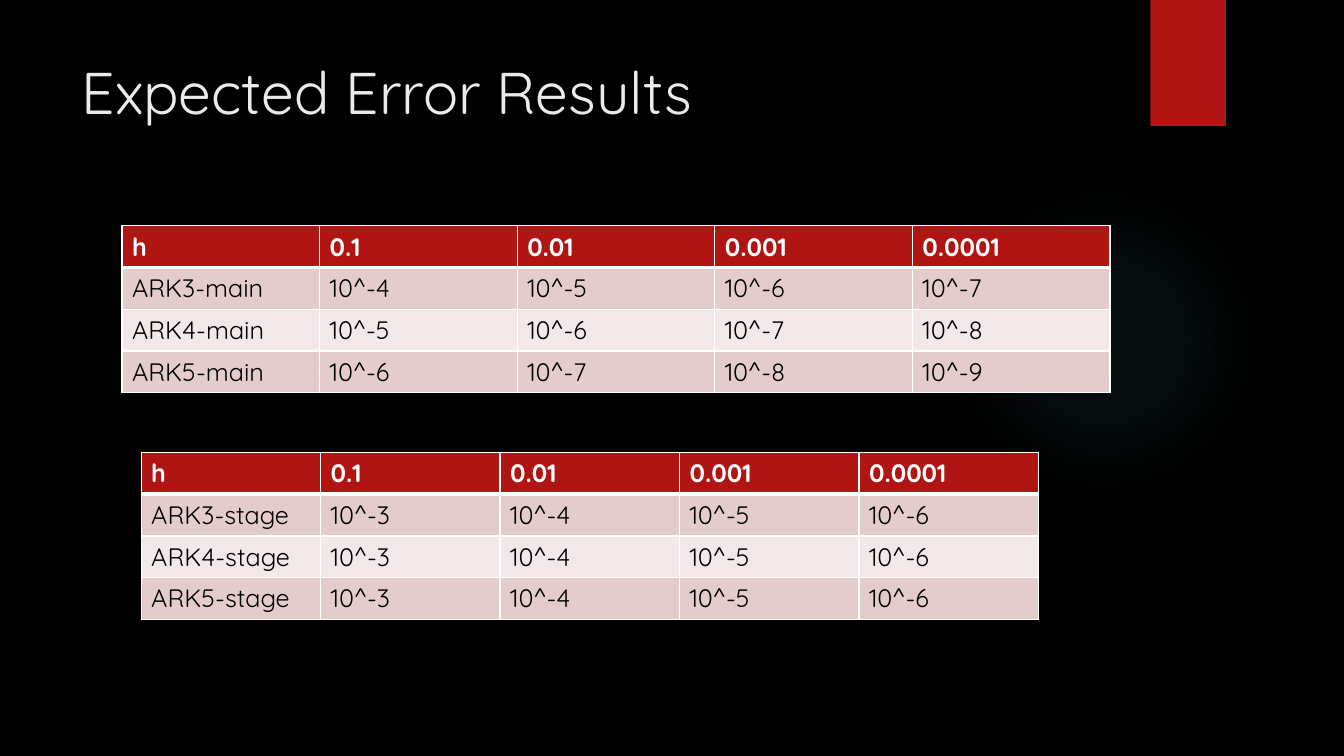
from dataclasses import dataclass

from lxml import etree
from pptx import Presentation
from pptx.dml.color import RGBColor
from pptx.enum import shapes, text
from pptx.oxml import ns
from pptx.util import Inches, Pt


@dataclass(frozen=True)
class Theme:
    font: str = "Quicksand"
    background: str = "000000"
    title: str = "EBEBEB"
    accent: str = "B01513"
    glow: str = "50B9C1"
    glow_stops: tuple = ((0, 7), (36, 6), (69, 0))
    header_text: str = "FFFFFF"
    body_text: str = "000000"
    bands: tuple = ("E4CCCC", "F2E8E7")
    border: str = "FFFFFF"
    thin: float = 1
    thick: float = 3
    title_size: float = 42
    cell_size: float = 18


THEME = Theme()
STEPS = ["0.1", "0.01", "0.001", "0.0001"]
ORDERS = [3, 4, 5]
ROW_HEIGHT = 0.414


def add_run(paragraph, wording, size, color, bold=False):
    run = paragraph.add_run()
    run.text = wording
    run.font.name = THEME.font
    run.font.size = Pt(size)
    run.font.bold = bold
    run.font.color.rgb = RGBColor.from_string(color)


def add_decoration(slide, kind, left, top, width, height):
    decoration = slide.shapes.add_shape(
        kind, Inches(left), Inches(top), Inches(width), Inches(height))
    decoration.shadow.inherit = False
    decoration.line.fill.background()
    return decoration


def add_glow(slide):
    glow = add_decoration(slide, shapes.MSO_SHAPE.OVAL, 9.41, 1.83, 3.08, 3.08)
    glow.fill.background()
    properties = glow.element.spPr
    no_fill = properties.find(ns.qn("a:noFill"))
    gradient = etree.Element(ns.qn("a:gradFill"), rotWithShape="1")
    stops = etree.SubElement(gradient, ns.qn("a:gsLst"))
    for position, opacity in THEME.glow_stops:
        stop = etree.SubElement(stops, ns.qn("a:gs"), pos=str(position * 1000))
        color = etree.SubElement(stop, ns.qn("a:srgbClr"), val=THEME.glow)
        etree.SubElement(color, ns.qn("a:alpha"), val=str(opacity * 1000))
    circle = etree.SubElement(gradient, ns.qn("a:path"), path="circle")
    etree.SubElement(circle, ns.qn("a:fillToRect"),
                     l="50000", t="50000", r="50000", b="50000")
    properties.replace(no_fill, gradient)


def add_ribbon(slide):
    ribbon = add_decoration(slide, shapes.MSO_SHAPE.RECTANGLE, 11.41, 0, 0.75, 1.25)
    ribbon.fill.solid()
    ribbon.fill.fore_color.rgb = RGBColor.from_string(THEME.accent)


def format_title(slide, wording):
    title = slide.shapes.title
    title.left, title.top = Inches(0.71), Inches(0.5)
    title.width, title.height = Inches(10.29), Inches(1.53)
    frame = title.text_frame
    frame.word_wrap = True
    frame.vertical_anchor = text.MSO_ANCHOR.TOP
    paragraph = frame.paragraphs[0]
    paragraph.alignment = text.PP_ALIGN.LEFT
    add_run(paragraph, wording, THEME.title_size, THEME.title)


def set_borders(cell, top, bottom):
    properties = cell._tc.get_or_add_tcPr()
    widths = {"lnL": THEME.thin, "lnR": THEME.thin, "lnT": top, "lnB": bottom}
    for index, (side, width) in enumerate(widths.items()):
        line = etree.Element(ns.qn(f"a:{side}"), w=str(Pt(width)))
        fill = etree.SubElement(line, ns.qn("a:solidFill"))
        etree.SubElement(fill, ns.qn("a:srgbClr"), val=THEME.border)
        properties.insert(index, line)


def format_cell(cell, wording, row):
    header = row == 0
    cell.fill.solid()
    cell.fill.fore_color.rgb = RGBColor.from_string(
        THEME.accent if header else THEME.bands[(row - 1) % 2])
    set_borders(cell, THEME.thick if row == 1 else THEME.thin,
                THEME.thick if header else THEME.thin)
    add_run(cell.text_frame.paragraphs[0], wording, THEME.cell_size,
            THEME.header_text if header else THEME.body_text, header)


def add_error_table(slide, left, top, column_width, part, first_exponents):
    rows = [["h", *STEPS]]
    for order, first in zip(ORDERS, first_exponents):
        errors = [f"10^-{first + step}" for step in range(len(STEPS))]
        rows.append([f"ARK{order}-{part}", *errors])
    columns = len(rows[0])
    table = slide.shapes.add_table(
        len(rows), columns, Inches(left), Inches(top),
        Inches(column_width * columns), Inches(ROW_HEIGHT * len(rows))).table
    for column in table.columns:
        column.width = Inches(column_width)
    for row, wordings in enumerate(rows):
        table.rows[row].height = Inches(ROW_HEIGHT)
        for column, wording in enumerate(wordings):
            format_cell(table.cell(row, column), wording, row)


def main():
    deck = Presentation()
    deck.slide_width, deck.slide_height = Inches(13.33), Inches(7.5)
    slide = deck.slides.add_slide(deck.slide_layouts[5])
    slide.background.fill.solid()
    slide.background.fill.fore_color.rgb = RGBColor.from_string(THEME.background)
    add_glow(slide)
    add_ribbon(slide)
    format_title(slide, "Expected Error Results")
    add_error_table(slide, 1.21, 2.24, 1.96, "main", [4, 5, 6])
    add_error_table(slide, 1.4, 4.49, 1.78, "stage", [3, 3, 3])
    deck.save("out.pptx")


if __name__ == "__main__":
    main()
